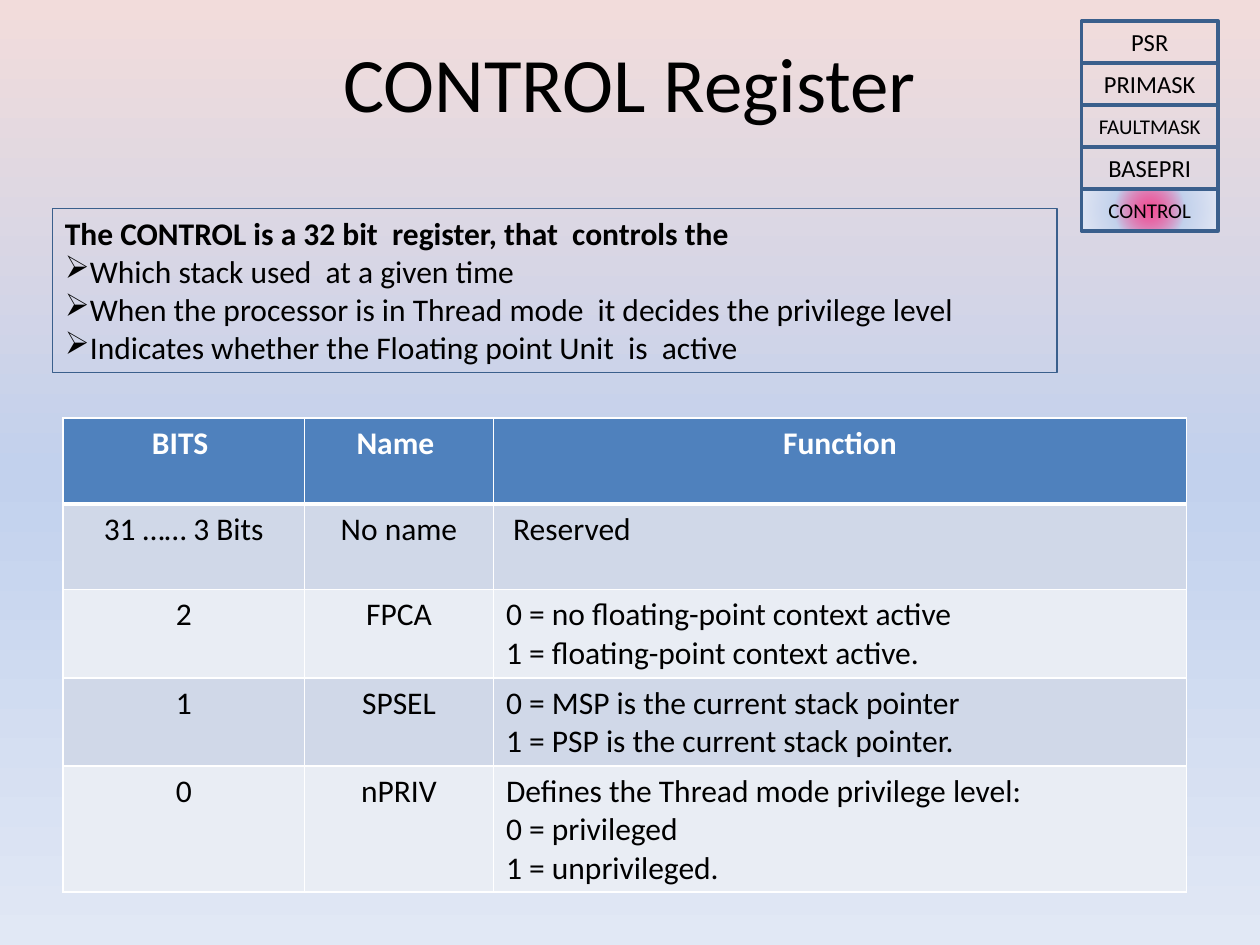
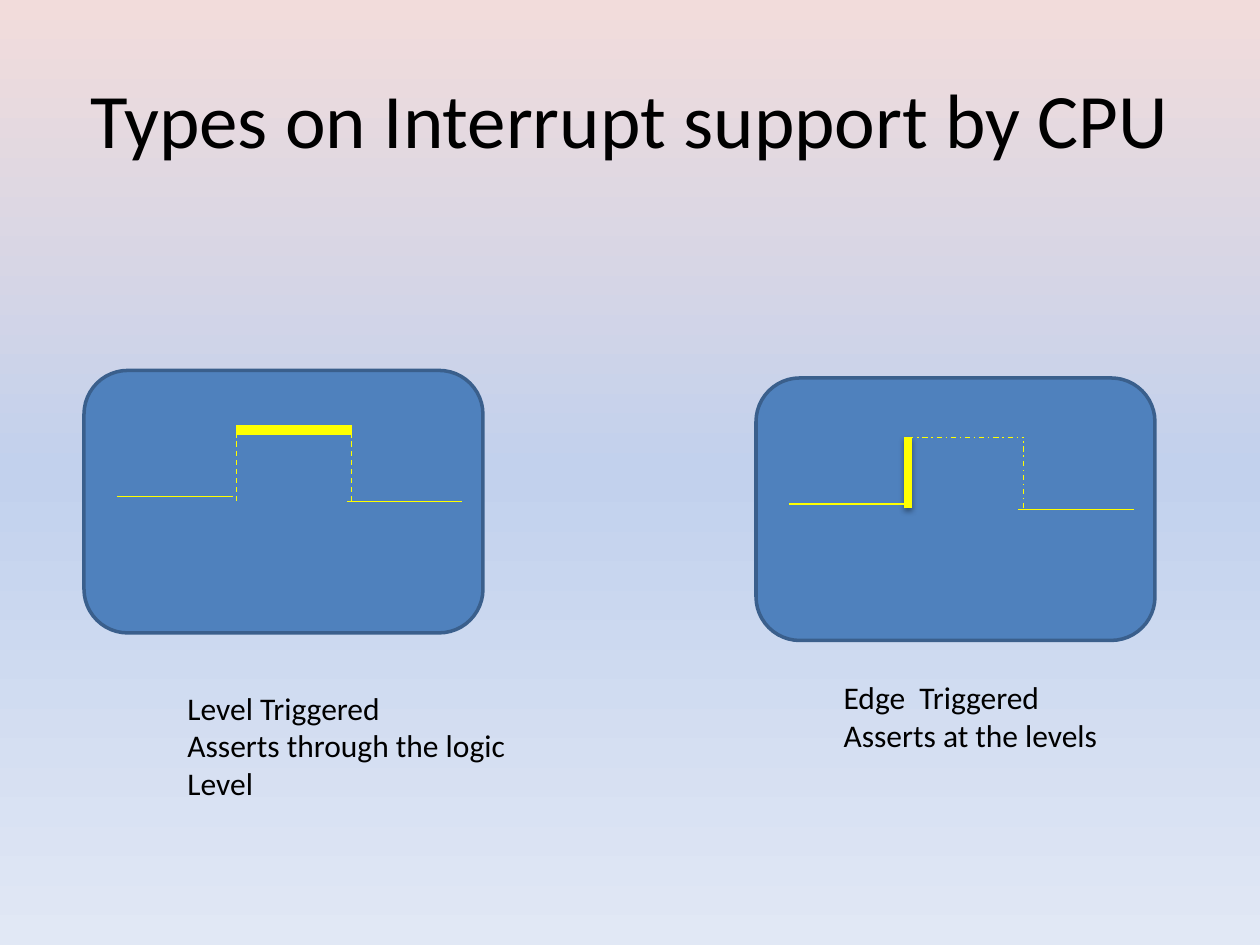
import dataclasses
import lxml.etree as etree
import pptx
import pptx.dml.color
import pptx.enum.dml
import pptx.enum.shapes
import pptx.enum.text
import pptx.oxml.ns
import pptx.util

Pt = pptx.util.Pt
qn = pptx.oxml.ns.qn
Shape = pptx.enum.shapes.MSO_SHAPE
Dash = pptx.enum.dml.MSO_LINE
Align = pptx.enum.text.PP_ALIGN
Anchor = pptx.enum.text.MSO_ANCHOR


@dataclasses.dataclass(frozen=True)
class Theme:
    """Colours and type sizes shared by the slides."""
    font: str = "Calibri"
    ink: str = "000000"
    white: str = "FFFFFF"
    blue: str = "4F81BD"
    edge: str = "3A5F8C"
    pulse: str = "FFFF00"
    pink: str = "FF0066"
    bands: tuple = ("D0D8E8", "E9EDF4")
    rose: str = "F2DCDB"
    sky: tuple = ((50, "C2D1ED", 100), (100, "E1E8F5", 100))
    title: int = 44
    body: int = 18
    label: int = 14
    small: int = 12


THEME = Theme()

NAMES = ["PSR", "PRIMASK", "FAULTMASK", "BASEPRI", "CONTROL"]
POINTS = [
    "The CONTROL is a 32 bit  register, that  controls the",
    "Which stack used  at a given time",
    "When the processor is in Thread mode  it decides the privilege level",
    "Indicates whether the Floating point Unit  is  active",
]
ROWS = [
    ("BITS ", "Name ", "Function"),
    ("31 …… 3 Bits", "No name", " Reserved"),
    ("2", "FPCA", "0 = no floating-point context active\n1 = floating-point context active."),
    ("1", "SPSEL", "0 = MSP is the current stack pointer\n1 = PSP is the current stack pointer."),
    ("0", "nPRIV", "Defines the Thread mode privilege level:\n0 = privileged\n1 = unprivileged."),
]


def put(item, **values):
    """Set each named value on the item."""
    for name, value in values.items():
        setattr(item, name, value)


def rgb(code):
    """Turn a hex code into a colour."""
    return pptx.dml.color.RGBColor.from_string(code)


def node(parent, tag, **values):
    """Add a drawing element with its attributes."""
    return etree.SubElement(parent, qn("a:" + tag), {k: str(v) for k, v in values.items()})


def tint(parent, code, alpha=100):
    """Add a colour element, see-through when alpha is below 100."""
    color = node(parent, "srgbClr", val=code)
    if alpha < 100:
        node(color, "alpha", val=alpha * 1000)


def grade(fill, root, stops, round=False):
    """Give a fill the stops, from top to bottom or from the centre out."""
    fill.gradient()
    grad = root.find(".//" + qn("a:gradFill"))
    grad.clear()
    group = node(grad, "gsLst")
    for place, code, alpha in stops:
        tint(node(group, "gs", pos=place * 1000), code, alpha)
    if round:
        ring = node(grad, "path", path="circle")
        node(ring, "fillToRect", l=50000, t=50000, r=50000, b=50000)
    else:
        node(grad, "lin", ang=5400000, scaled=0)


def write(frame, lines, size, code=THEME.ink, align=Align.LEFT, bold=False):
    """Fill a text frame with one paragraph for each line."""
    frame.text = "\n".join(lines)
    for para in frame.paragraphs:
        para.alignment = align
        for run in para.runs:
            put(run.font, name=THEME.font, size=Pt(size), bold=bold)
            run.font.color.rgb = rgb(code)


def text(slide, box, lines, size, align=Align.LEFT, anchor=Anchor.TOP):
    """Place plain text in a box."""
    frame = slide.shapes.add_textbox(*map(Pt, box)).text_frame
    put(frame, word_wrap=True, vertical_anchor=anchor)
    write(frame, lines, size, align=align)


def title(slide, top, words, anchor):
    """Place the slide title."""
    text(slide, (36, top, 648, 90), [words], THEME.title, Align.CENTER, anchor)


def block(slide, box, width, kind=Shape.RECTANGLE, code=None):
    """Place an outlined shape, empty unless a fill code is given."""
    shape = slide.shapes.add_shape(kind, *map(Pt, box))
    shape.shadow.inherit = False
    shape.line.color.rgb = rgb(THEME.edge)
    shape.line.width = Pt(width)
    if code:
        shape.fill.solid()
        shape.fill.fore_color.rgb = rgb(code)
    else:
        shape.fill.background()
    return shape


def stack(slide, box, names):
    """Stack the register names and light up the last one."""
    left, top, wide, high = box
    step = high / len(names)
    for i, name in enumerate(names):
        cell = block(slide, (left, top + i * step, wide, step), 2)
        put(cell.text_frame, word_wrap=True, vertical_anchor=Anchor.MIDDLE)
        size = THEME.small if name in ("FAULTMASK", "CONTROL") else THEME.label
        write(cell.text_frame, [name], size, align=Align.CENTER)
    grade(cell.fill, cell._element, ((0, THEME.pink, 62), *THEME.sky), round=True)


def notice(slide, box, lines):
    """Place the framed summary with a bold lead and arrow bullets."""
    frame = block(slide, box, 0.75).text_frame
    put(frame, word_wrap=True, vertical_anchor=Anchor.TOP)
    write(frame, lines, THEME.body)
    lead, *rest = frame.paragraphs
    lead.runs[0].font.bold = True
    for para in rest:
        node(para._p.get_or_add_pPr(), "buChar", char="➢")


def border(cell, row):
    """Draw white cell borders, thick below the heading row."""
    props = cell._tc.get_or_add_tcPr()
    for side in "LRTB":
        thick = (row, side) in ((0, "B"), (1, "T"))
        line = node(props, "ln" + side, w=Pt(3 if thick else 1))
        tint(node(line, "solidFill"), THEME.white)


def grid(slide, box, widths, rows):
    """Place the table of register bits."""
    frame = slide.shapes.add_table(len(rows), len(widths), *map(Pt, box))
    table = frame.table
    for col, width in zip(table.columns, widths):
        col.width = Pt(width)
    for r, row in enumerate(rows):
        head = r == 0
        for c, words in enumerate(row):
            cell = table.cell(r, c)
            border(cell, r)
            cell.fill.solid()
            cell.fill.fore_color.rgb = rgb(THEME.blue if head else THEME.bands[(r - 1) % 2])
            write(cell.text_frame, words.split("\n"), THEME.body,
                  THEME.white if head else THEME.ink,
                  Align.CENTER if head or c < 2 else Align.LEFT, head)


def stroke(slide, ends, width=0.75, dash=None, shade=False):
    """Draw one pulse line, with a soft shadow when asked."""
    kind = pptx.enum.shapes.MSO_CONNECTOR.STRAIGHT
    line = slide.shapes.add_connector(kind, *map(Pt, ends))
    line.line.color.rgb = rgb(THEME.pulse)
    put(line.line, width=Pt(width), dash_style=dash)
    effects = node(line._element.spPr, "effectLst")
    if shade:
        cast = node(effects, "outerShdw", blurRad=Pt(3.1), dist=Pt(1.6),
                    dir=5400000, rotWithShape=0)
        tint(cast, THEME.ink, 38)


def signal(slide, box, rise, top, fall):
    """Draw a panel with a pulse whose three parts have their own formats."""
    left, head = box[:2]
    block(slide, box, 2, Shape.ROUNDED_RECTANGLE, THEME.blue)
    parts = (
        ((87, 74.5, 87, 34), rise),
        ((87, 34, 153, 34), top),
        ((153, 74.5, 153, 34), fall),
        ((150, 75, 216, 75), {}),
        ((19, 72, 85, 72), {}),
    )
    for (x1, y1, x2, y2), look in parts:
        stroke(slide, (left + x1, head + y1, left + x2, head + y2), **look)


def control(slide):
    """Build the slide on the CONTROL register."""
    title(slide, 17, "CONTROL Register", Anchor.TOP)
    stack(slide, (618, 12, 78, 120), NAMES)
    notice(slide, (30, 119, 574, 94), POINTS)
    grid(slide, (36, 239, 642, 245), (138, 108, 396), ROWS)


def trigger(slide):
    """Build the slide on the types of interrupt."""
    title(slide, 22, "Types on Interrupt support by CPU", Anchor.MIDDLE)
    dash, dots = {"dash": Dash.DASH}, {"dash": Dash.DASH_DOT}
    signal(slide, (48, 211.7, 228, 150), dash, {"width": 5.75}, dash)
    signal(slide, (432, 216, 228, 150), {"width": 4.5, "shade": True}, dots, dots)
    text(slide, (100, 390, 204, 73),
         ["Level Triggered", "Asserts through the logic", "Level"], THEME.body)
    text(slide, (475, 384, 164, 51), ["Edge  Triggered", "Asserts at the levels"], THEME.body)


def main():
    """Build and save the deck."""
    deck = pptx.Presentation()
    put(deck, slide_width=Pt(720), slide_height=Pt(540))
    master = deck.slide_master
    grade(master.background.fill, master.element, ((0, THEME.rose, 100), *THEME.sky))
    for build in (control, trigger):
        build(deck.slides.add_slide(deck.slide_layouts[6]))
    deck.save("out.pptx")


if __name__ == "__main__":
    main()
